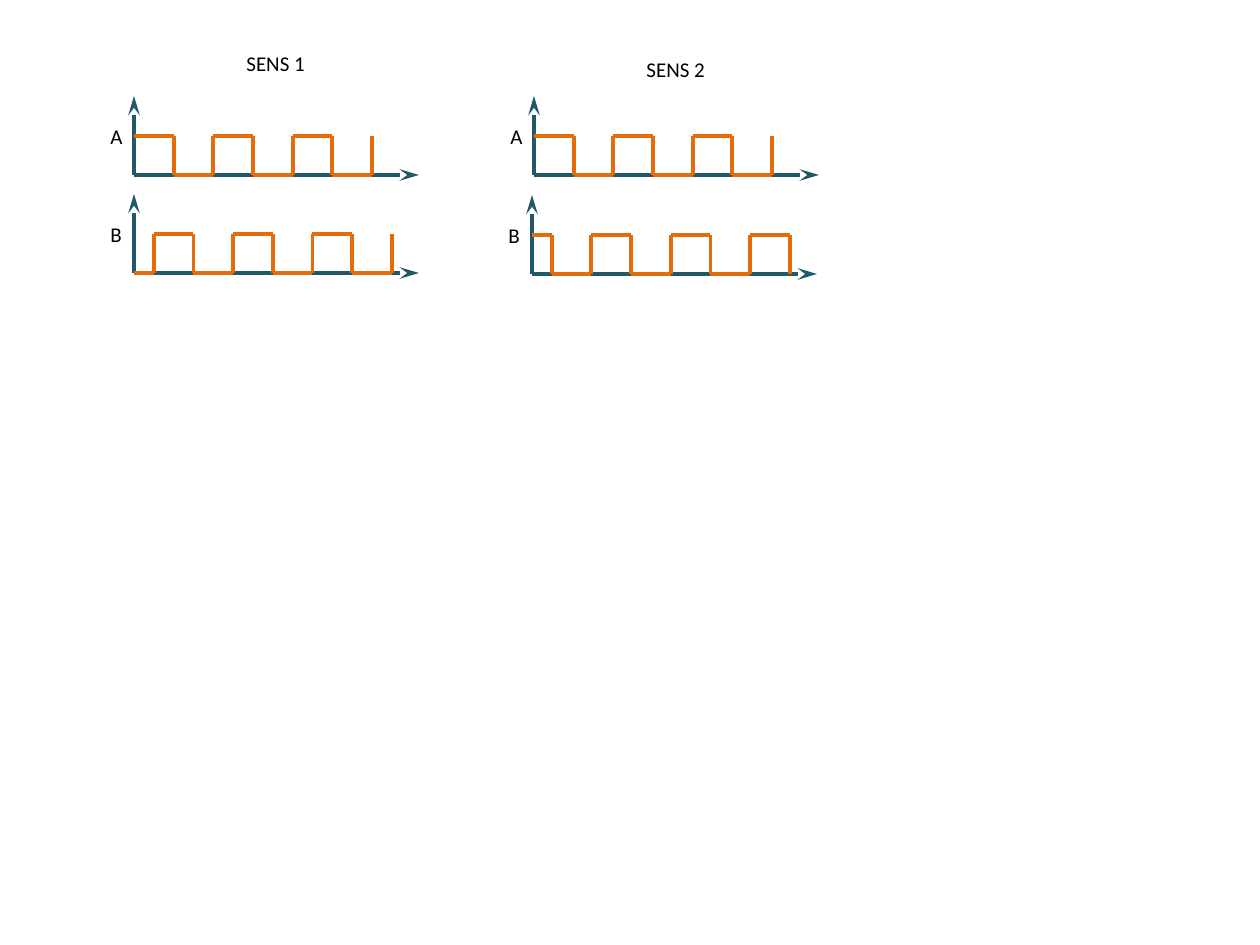
from lxml import etree
from pptx import Presentation
from pptx.dml.color import RGBColor
from pptx.enum.shapes import MSO_CONNECTOR
from pptx.enum.text import MSO_AUTO_SIZE
from pptx.oxml.ns import qn
from pptx.util import Emu, Pt

STRAIGHT = MSO_CONNECTOR.STRAIGHT
FIT_SHAPE = MSO_AUTO_SIZE.SHAPE_TO_FIT_TEXT

EMU_PER_PX = 914400 / 126
SLIDE_SIZE = (1260, 945)

TEAL = RGBColor(0x21, 0x59, 0x68)
ORANGE = RGBColor(0xE4, 0x6C, 0x0A)
BLACK = RGBColor(0x00, 0x00, 0x00)

AXIS_WIDTH, AXIS_HEIGHT = 285, 79
PULSE_HEIGHT = 39
THREE_PERIODS = 238
QUARTERS = 12
TEXT_HEIGHT = 38

A_EDGES = range(2, 13, 2)
B_EDGES = range(1, 14, 2)


def px(length):
    """Turn a length in px into EMU."""
    return Emu(round(length * EMU_PER_PX))


def add_line(slide, start, end, color, arrow=False):
    """Draw a straight line, with an arrowhead at its start if asked."""
    connector = slide.shapes.add_connector(STRAIGHT, *map(px, (*start, *end)))
    connector.line.color.rgb = color
    connector.line.width = Pt(2.25)
    if arrow:
        etree.SubElement(connector.line._get_or_add_ln(), qn("a:headEnd"),
                         type="stealth", w="med", len="lg")
    etree.SubElement(connector._element.spPr, qn("a:effectLst"))


def add_label(slide, left, top, width, text):
    """Write one line of text."""
    box = slide.shapes.add_textbox(*map(px, (left, top, width, TEXT_HEIGHT)))
    text_frame = box.text_frame
    text_frame.word_wrap = False
    text_frame.auto_size = FIT_SHAPE
    text_frame.text = text
    font = text_frame.paragraphs[0].runs[0].font
    font.name = "Calibri"
    font.size = Pt(12)
    font.color.rgb = BLACK


def add_signal(slide, left, top, name, edges, starts_high):
    """Draw the axes, the name and the square wave of one channel."""
    base = top + AXIS_HEIGHT
    origin = (left, base)
    add_line(slide, (left, top), origin, TEAL, arrow=True)
    add_line(slide, (left + AXIS_WIDTH, base), origin, TEAL, arrow=True)
    add_label(slide, left - 36, top + 21, 38, name)

    level, other_level = base, base - PULSE_HEIGHT
    if starts_high:
        level, other_level = other_level, level
    x = left
    for edge in edges:
        edge_x = left + THREE_PERIODS * edge / QUARTERS
        add_line(slide, (x, level), (edge_x, level), ORANGE)
        add_line(slide, (edge_x, level), (edge_x, other_level), ORANGE)
        x = edge_x
        level, other_level = other_level, level


def add_direction(slide, left, top, heading, b_left, b_top, b_starts_high):
    """Draw one direction of rotation: its heading and channels A and B."""
    add_label(slide, left + 100, top, 84, heading)
    add_signal(slide, left, 96, "A", A_EDGES, True)
    add_signal(slide, b_left, b_top, "B", B_EDGES, b_starts_high)


def main():
    """Build the slide and save it."""
    presentation = Presentation()
    presentation.slide_width, presentation.slide_height = map(px, SLIDE_SIZE)
    slide = presentation.slides.add_slide(presentation.slide_layouts[6])
    add_direction(slide, 134, 44, "SENS 1", 134, 194, False)
    add_direction(slide, 534, 50, "SENS 2", 532, 195, True)
    presentation.save("out.pptx")


if __name__ == "__main__":
    main()
